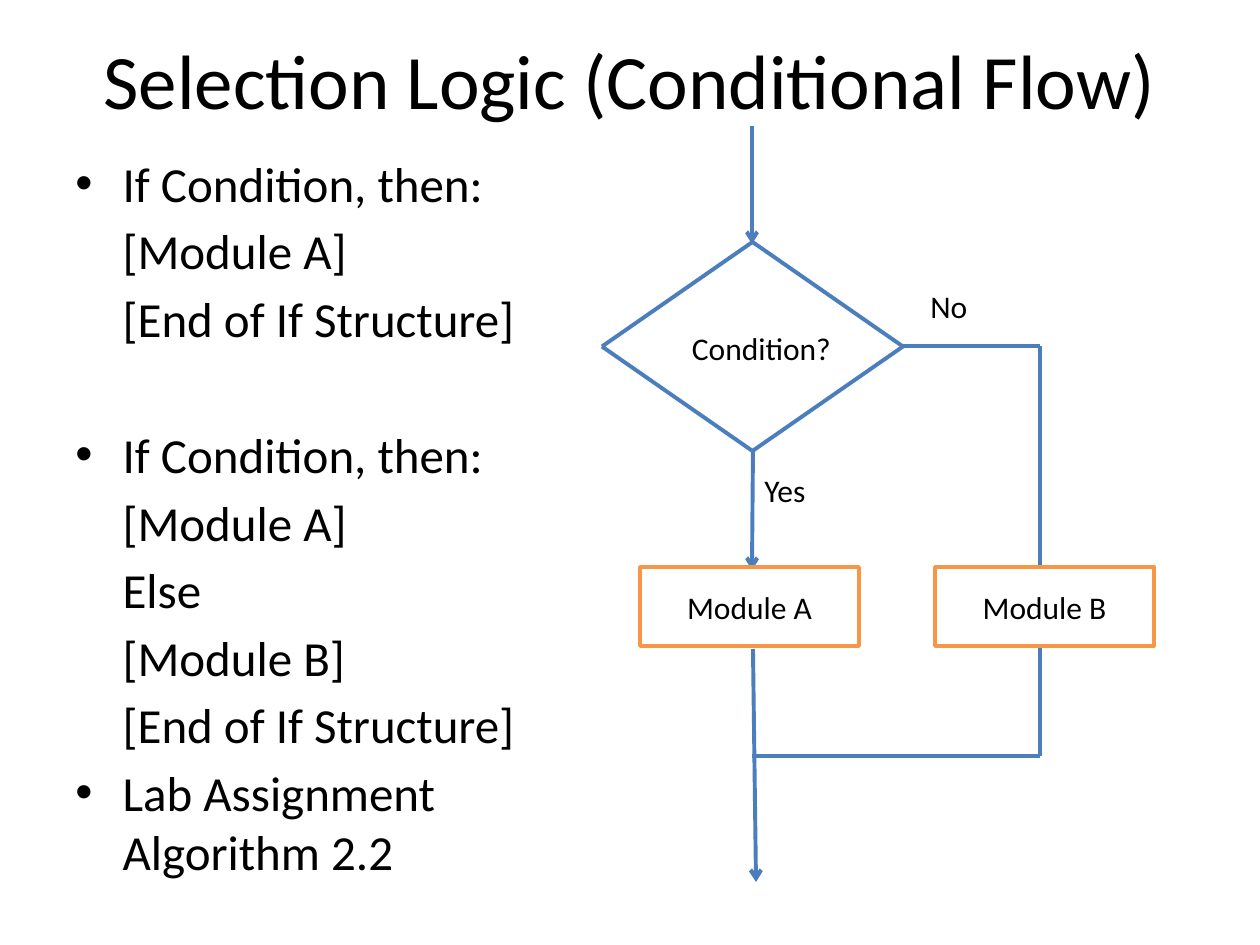
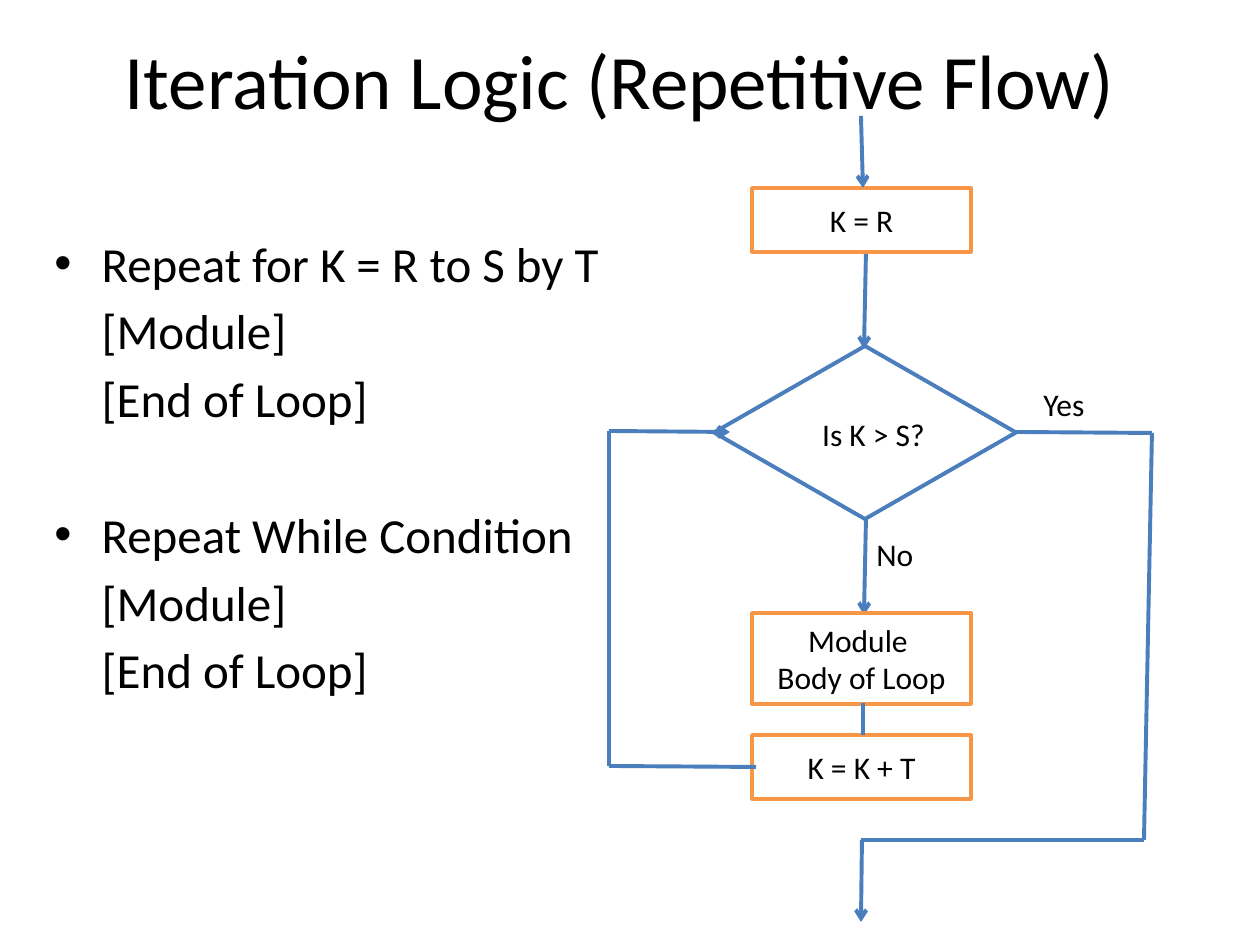
from lxml import etree
from pptx import Presentation, util as u
from pptx.dml.color import RGBColor
from pptx.enum import shapes, text
from pptx.oxml import ns

BLACK = RGBColor(0x00, 0x00, 0x00)
WHITE = RGBColor(0xFF, 0xFF, 0xFF)
BLUE = RGBColor(0x4B, 0x7E, 0xBC)
ORANGE = RGBColor(0xF7, 0x96, 0x46)
SCALE = 914400 / 126
LEFT, MID = text.PP_ALIGN.LEFT, text.PP_ALIGN.CENTER
HIGH, HALF = text.MSO_ANCHOR.TOP, text.MSO_ANCHOR.MIDDLE


def px(*nums):
    return [u.Emu(round(n * SCALE)) for n in nums]


class Deck:
    """Holds the style and the current slide, and draws each kind of element."""

    def __init__(self):
        self.prs = Presentation()
        self.prs.slide_width, self.prs.slide_height = px(1260, 945)
        self.slide = None

    def letter(self, shape, lines, size, align=MID, anchor=HALF):
        frame = shape.text_frame
        frame.text = "\n".join(lines)
        form = {"word_wrap": True, "auto_size": text.MSO_AUTO_SIZE.NONE,
                "vertical_anchor": anchor}
        for key, val in form.items():
            setattr(frame, key, val)
        for para in frame.paragraphs:
            para.alignment = align
            for key, val in {"name": "Calibri", "size": u.Pt(size)}.items():
                setattr(para.font, key, val)
            para.font.color.rgb = BLACK
        return frame.paragraphs

    def page(self, title, left):
        self.slide = self.prs.slides.add_slide(self.prs.slide_layouts[5])
        head = self.slide.shapes.title
        spots = px(left, 0, 1134, 157)
        for key, val in zip(("left", "top", "width", "height"), spots):
            setattr(head, key, val)
        self.letter(head, [title], 44)

    def label(self, words, x, y, w=80, h=56, align=LEFT, anchor=HIGH):
        box = self.slide.shapes.add_textbox(*px(x, y, w, h))
        self.letter(box, [words], 18, align, anchor)

    def body(self, groups, x, y, w, h, gaps):
        box = self.slide.shapes.add_textbox(*px(x, y, w, h))
        lines = [line for group in groups for line in group]
        paras = iter(self.letter(box, lines, 28, LEFT, HIGH))
        for num, group in enumerate(groups):
            for pos in range(len(group)):
                para = next(paras)
                para.space_before = u.Pt(44.2 if num in gaps and pos == 0 else 5)
                props = para._p.get_or_add_pPr()
                props.set("marL", "342900")
                if pos == 0:
                    props.set("indent", "-342900")
                    etree.SubElement(props, ns.qn("a:buFont"), typeface="Arial")
                    etree.SubElement(props, ns.qn("a:buChar"), char="•")

    def box(self, lines, x, y, h, w=219):
        rect = self.slide.shapes.add_shape(
            shapes.MSO_SHAPE.RECTANGLE, *px(x, y, w, h))
        rect.shadow.inherit = False
        rect.fill.solid()
        rect.fill.fore_color.rgb = WHITE
        rect.line.color.rgb = ORANGE
        rect.line.width = u.Pt(2)
        self.letter(rect, lines, 18)

    def route(self, *points, arrow=False):
        for num, (start, end) in enumerate(zip(points, points[1:]), 2):
            line = self.slide.shapes.add_connector(
                shapes.MSO_CONNECTOR.STRAIGHT, *px(*start, *end))
            line.line.color.rgb = BLUE
            line.line.width = u.Pt(2.25)
            props = line._element.spPr
            if arrow and num == len(points):
                edge = props.find(ns.qn("a:ln"))
                etree.SubElement(edge, ns.qn("a:tailEnd"), type="arrow")
            etree.SubElement(props, ns.qn("a:effectLst"))

    def choice(self, words, x, y, w, h):
        mid, half = x + w / 2, y + h / 2
        self.route((mid, y), (x, half), (mid, y + h), (x + w, half), (mid, y))
        tall = h * 3 / 8
        self.label(words, x + 16, half + 1 - tall / 2, 287, tall, MID, HALF)


deck = Deck()

deck.page("Selection Logic (Conditional Flow)", 63)
deck.body([
    ["If Condition, then:", "[Module A]", "[End of If Structure]"],
    ["If Condition, then:", "[Module A]", "Else", "[Module B]",
     "[End of If Structure]"],
    ["Lab Assignment Algorithm 2.2"],
], 63, 147, 557, 697, gaps=[1])
deck.choice("Condition?", 602, 242, 301, 209)
deck.label("Yes", 752, 465)
deck.label("No", 918, 281)
deck.route((752, 126), (752, 244), arrow=True)
deck.route((753, 451), (752, 570), arrow=True)
deck.route((753, 649), (756, 882), arrow=True)
deck.route((903, 346), (1040, 346), (1040, 756), (752, 756))
for name, x in (("Module B", 935), ("Module A", 640)):
    deck.box([name], x, 567, 79)

deck.page("Iteration Logic (Repetitive Flow)", 53)
deck.body([
    ["Repeat for K = R to S by T", "[Module]", "[End of Loop]"],
    ["Repeat While Condition", "[Module]", "[End of Loop]"],
], 42, 227, 598, 624, gaps=[1])
deck.choice("Is K > S?", 714, 346, 302, 173)
deck.label("No", 864, 529)
deck.label("Yes", 1031, 379)
deck.route((866, 252), (864, 349), arrow=True)
deck.route((866, 519), (864, 615), arrow=True)
deck.route((1016, 432), (1152, 433), (1144, 840), (861, 840))
for lines, y, h in ((["K = K + T"], 735, 64),
                    (["Module ", "Body of Loop"], 613, 91),
                    (["K = R"], 188, 64)):
    deck.box(lines, 752, y, h)
deck.route((863, 703), (863, 735))
deck.route((756, 767), (609, 766), (609, 431), (730, 432), arrow=True)
deck.route((862, 840), (861, 922), arrow=True)
deck.route((861, 116), (863, 188), arrow=True)

deck.prs.save("out.pptx")
